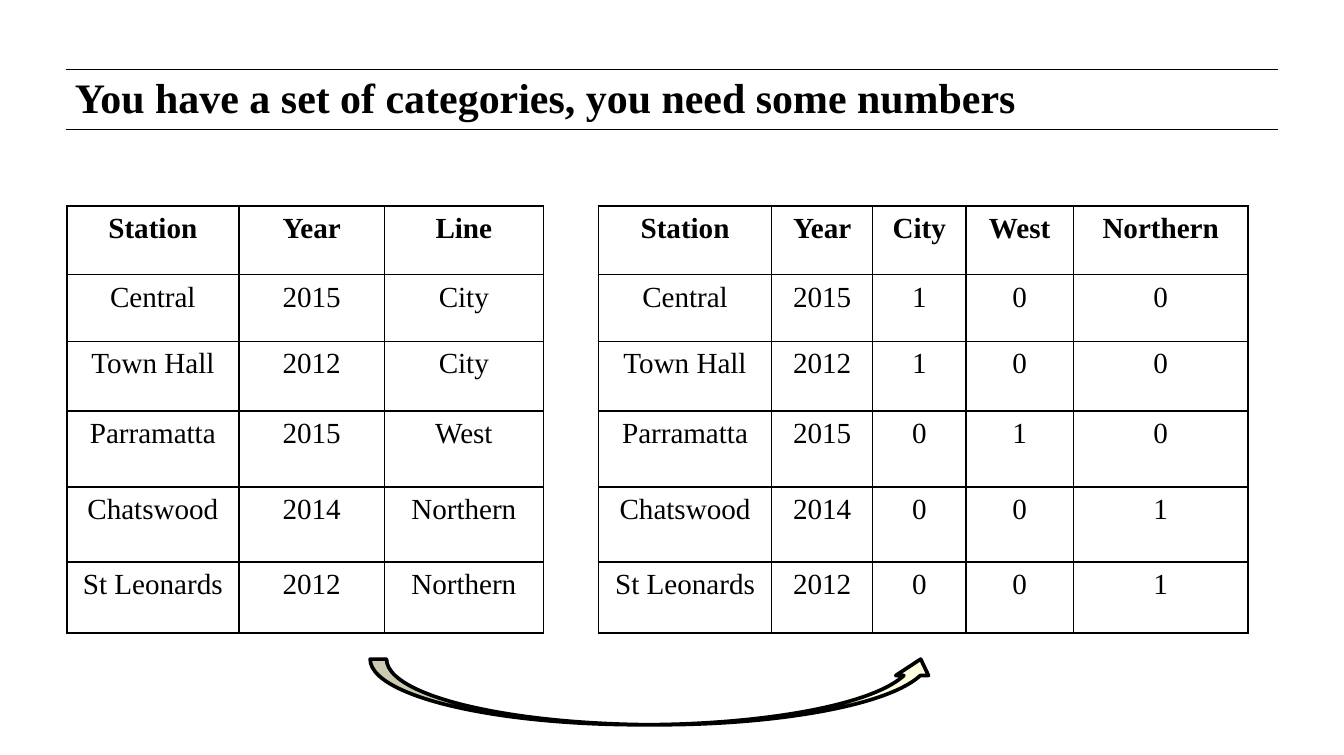
from lxml.etree import SubElement
from pptx import Presentation
from pptx.dml.color import RGBColor
from pptx.enum.shapes import MSO_CONNECTOR, MSO_SHAPE
from pptx.enum.text import MSO_ANCHOR, PP_ALIGN
from pptx.oxml.ns import qn
from pptx.util import Inches, Pt

BLACK = RGBColor(0x00, 0x00, 0x00)
CREAM = RGBColor(0xFF, 0xFE, 0xDE)
FONT = "Times New Roman"

STATIONS = [
    ("Central", "2015", "City"),
    ("Town Hall", "2012", "City"),
    ("Parramatta", "2015", "West"),
    ("Chatswood", "2014", "Northern"),
    ("St Leonards", "2012", "Northern"),
]
LINES = ["City", "West", "Northern"]
ROW_HEIGHTS = [0.52, 0.51, 0.53, 0.58, 0.57, 0.54]


class SlideBuilder:
    """Holds the text style and the slide, and adds each kind of element."""

    def __init__(self, s):
        self.s = s

    def add_text(self, p, text, size, bold):
        r = p.add_run()
        r.text = text
        r.font.name = FONT
        r.font.size = Pt(size)
        r.font.bold = bold
        r.font.color.rgb = BLACK

    def rule(self, y):
        line = self.s.shapes.add_connector(
            MSO_CONNECTOR.STRAIGHT, Inches(0.5), Inches(y), Inches(9.74), Inches(y))
        line.line.color.rgb = BLACK
        line.line.width = Pt(0.5)
        SubElement(line._element.spPr, qn("a:effectLst"))

    def title(self, text):
        sp = self.s.shapes.title
        sp.left, sp.top = Inches(0.51), Inches(0.55)
        sp.width, sp.height = Inches(8.61), Inches(0.52)
        tf = sp.text_frame
        tf.word_wrap = True
        tf.vertical_anchor = MSO_ANCHOR.TOP
        tf.margin_left = tf.margin_right = Inches(0.06)
        tf.margin_top = tf.margin_bottom = Inches(0.06)
        p = tf.paragraphs[0]
        p.alignment = PP_ALIGN.LEFT
        p.line_spacing = Pt(23)
        self.add_text(p, text, 23, True)

    def border(self, cell):
        tc_pr = cell._tc.get_or_add_tcPr()
        for i, side in enumerate(("a:lnL", "a:lnR", "a:lnT", "a:lnB")):
            ln = SubElement(tc_pr, qn(side), w=str(Pt(1)))
            fill = SubElement(ln, qn("a:solidFill"))
            SubElement(fill, qn("a:srgbClr"), val=str(BLACK))
            tc_pr.insert(i, ln)

    def table(self, left, widths, rows):
        frame = self.s.shapes.add_table(
            len(rows), len(widths), Inches(left), Inches(1.57),
            Inches(sum(widths)), Inches(sum(ROW_HEIGHTS)))
        table = frame.table
        table.first_row = table.horz_banding = False
        for column, width in zip(table.columns, widths):
            column.width = Inches(width)
        for i, values in enumerate(rows):
            table.rows[i].height = Inches(ROW_HEIGHTS[i])
            for j, value in enumerate(values):
                cell = table.cell(i, j)
                cell.fill.background()
                self.border(cell)
                p = cell.text_frame.paragraphs[0]
                p.alignment = PP_ALIGN.CENTER
                self.add_text(p, value, 16, i == 0)

    def curved_arrow(self, left, top, width, height):
        sp = self.s.shapes.add_shape(
            MSO_SHAPE.CURVED_UP_ARROW, Inches(left), Inches(top),
            Inches(width), Inches(height))
        sp.shadow.inherit = False
        sp.fill.solid()
        sp.fill.fore_color.rgb = CREAM
        sp.line.color.rgb = BLACK
        sp.line.width = Pt(2)


def main():
    prs = Presentation()
    prs.slide_width, prs.slide_height = Inches(10.24), Inches(5.75)
    slide = SlideBuilder(prs.slides.add_slide(prs.slide_layouts[5]))

    for y in (0.53, 0.99):
        slide.rule(y)
    slide.title("You have a set of categories, you need some numbers")

    encoded = [
        (station, year, *("1" if line == name else "0" for name in LINES))
        for station, year, line in STATIONS
    ]
    slide.table(0.51, [1.31, 1.11, 1.21], [("Station", "Year", "Line"), *STATIONS])
    slide.table(4.56, [1.32, 0.77, 0.71, 0.82, 1.33],
                [("Station", "Year", *LINES), *encoded])
    slide.curved_arrow(2.82, 5.02, 4.32, 0.5)

    prs.save("out.pptx")


if __name__ == "__main__":
    main()
